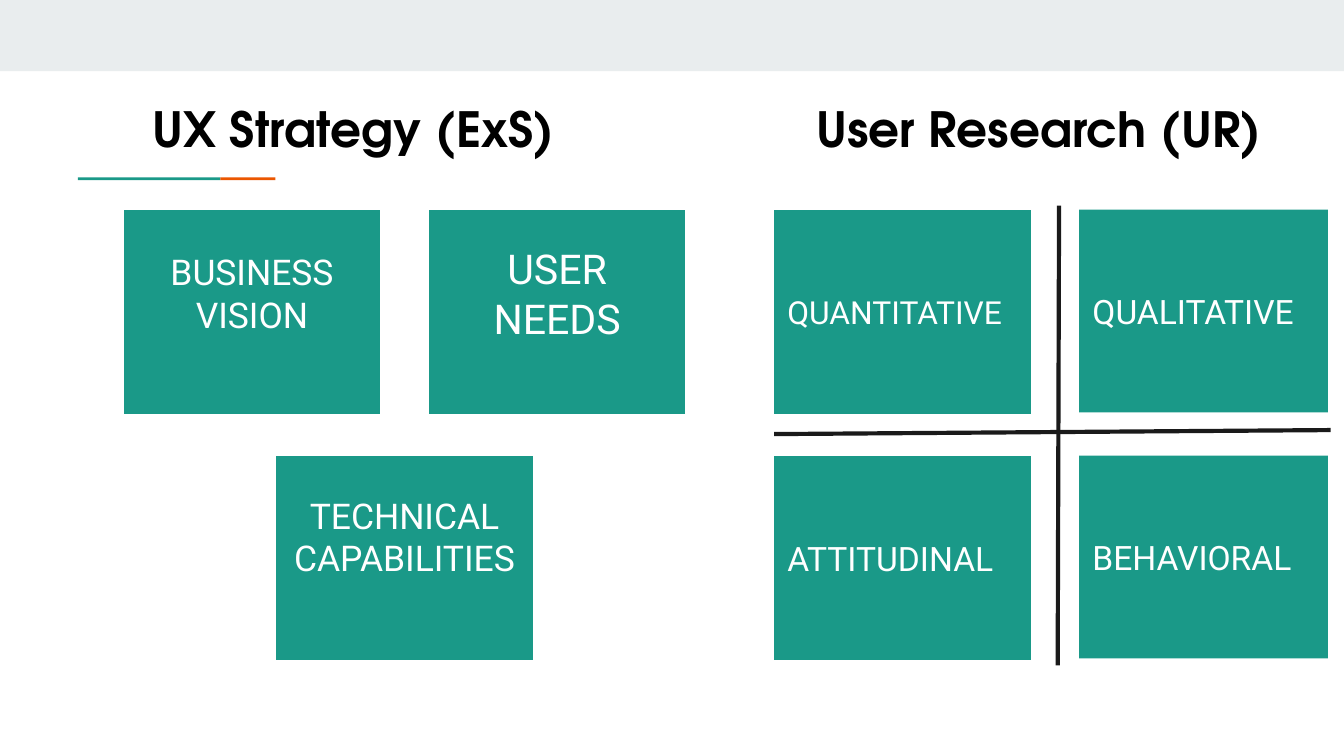
from pptx import Presentation
from pptx.dml.color import RGBColor
from pptx.enum.shapes import MSO_CONNECTOR as Connector, MSO_SHAPE as Shape
from pptx.enum.text import MSO_ANCHOR as Anchor, MSO_AUTO_SIZE as AutoSize, PP_ALIGN as Align
from pptx.oxml.ns import qn
from pptx.util import Inches, Pt
from lxml.etree import SubElement

WIDTH = 10
HEIGHT = WIDTH * 9 / 16
COLORS = {"band": "E9EDEE", "teal": "1A9988", "orange": "EB5600",
          "line": "1A1A1A", "white": "FFFFFF", "black": "000000"}

# Grid of boxes: each half of the slide has its own left edge
STRATEGY_LEFT, RESEARCH_LEFT, TOP = 0.92, 5.76, 1.56
COLUMN_STEP, ROW_STEP = 2.27, 1.83
BOX_SIZE, NARROW_SIZE = (1.91, 1.52), (1.85, 1.51)
INSET = 0.1

HEADING = {"name": "TeX Gyre Adventor", "size": Pt(26), "bold": True}


def color(name):
    return RGBColor.from_string(COLORS[name])


def set_values(target, values):
    for name, value in values.items():
        setattr(target, name, value)


def write_text(shape, text, font, font_color, align, anchor, bottom=INSET):
    frame = shape.text_frame
    set_values(frame, {"word_wrap": True, "auto_size": AutoSize.NONE,
                       "vertical_anchor": anchor, "margin_left": Inches(INSET),
                       "margin_right": Inches(INSET), "margin_top": Inches(INSET),
                       "margin_bottom": Inches(bottom)})
    paragraph = frame.paragraphs[0]
    set_values(paragraph, {"alignment": align, "space_before": Pt(0)})
    run = paragraph.add_run()
    run.text = text
    set_values(run.font, font)
    run.font.color.rgb = color(font_color)


def add_block(slide, left, top, width, height, fill, kind=Shape.RECTANGLE):
    shape = slide.shapes.add_shape(kind, *map(Inches, (left, top, width, height)))
    shape.shadow.inherit = False
    shape.fill.solid()
    shape.fill.fore_color.rgb = color(fill)
    shape.line.fill.background()
    return shape


def add_box(slide, origin, column, row, text, size, align, bottom=INSET, narrow=False):
    kind = Shape.RECTANGLE if narrow else Shape.FLOWCHART_PROCESS
    box = add_block(slide, origin + column * COLUMN_STEP, TOP + row * ROW_STEP,
                    *(NARROW_SIZE if narrow else BOX_SIZE), "teal", kind)
    font = {"name": "Roboto", "size": Pt(size)}
    write_text(box, text, font, "white", align, Anchor.MIDDLE, bottom)


def add_heading(placeholder, left, text):
    set_values(placeholder, {"left": Inches(left), "top": Inches(0.64),
                             "width": Inches(4.3), "height": Inches(0.53)})
    write_text(placeholder, text, HEADING, "black", Align.CENTER, Anchor.TOP)


def add_axis(slide, start, end):
    axis = slide.shapes.add_connector(Connector.STRAIGHT, *map(Inches, start + end))
    axis.line.color.rgb = color("line")
    axis.line.width = Pt(2.25)
    SubElement(axis._element.spPr, qn("a:effectLst"))


def main():
    presentation = Presentation()
    set_values(presentation, {"slide_width": Inches(WIDTH), "slide_height": Inches(HEIGHT)})
    slide = presentation.slides.add_slide(presentation.slide_layouts.get_by_name("Comparison"))

    # Headings
    title, body, *unused = slide.placeholders
    add_heading(title, 0.48, "UX Strategy (ExS)")
    add_heading(body, 5.58, "User Research (UR)")
    for placeholder in unused:
        placeholder._element.getparent().remove(placeholder._element)

    # Top band and two-colour rule
    add_block(slide, 0, 0, WIDTH, 0.53, "band")
    add_block(slide, 0.58, 1.32, 1.06, 0.02, "teal")
    add_block(slide, 1.64, 1.32, 0.41, 0.02, "orange")

    # Strategy: two boxes above, one centred below; bottom insets lift the labels
    for column, row, text, size, bottom in [(0, 0, "BUSINESS VISION", 19, 0.38),
                                            (1, 0, "USER NEEDS", 22, 0.38),
                                            (0.5, 1, "TECHNICAL CAPABILITIES", 19, 0.42)]:
        add_box(slide, STRATEGY_LEFT, column, row, text, size, Align.CENTER, bottom)

    # Research: two by two matrix with its axes
    for column, row, text, size in [(0, 0, "QUANTITATIVE", 17), (1, 0, "QUALITATIVE", 18),
                                    (0, 1, "ATTITUDINAL", 18), (1, 1, "BEHAVIORAL", 18)]:
        add_box(slide, RESEARCH_LEFT, column, row, text, size, Align.LEFT, narrow=column == 1)
    add_axis(slide, (7.88, 1.53), (7.87, 4.95))
    add_axis(slide, (9.9, 3.2), (RESEARCH_LEFT, 3.23))

    presentation.save("out.pptx")


if __name__ == "__main__":
    main()
